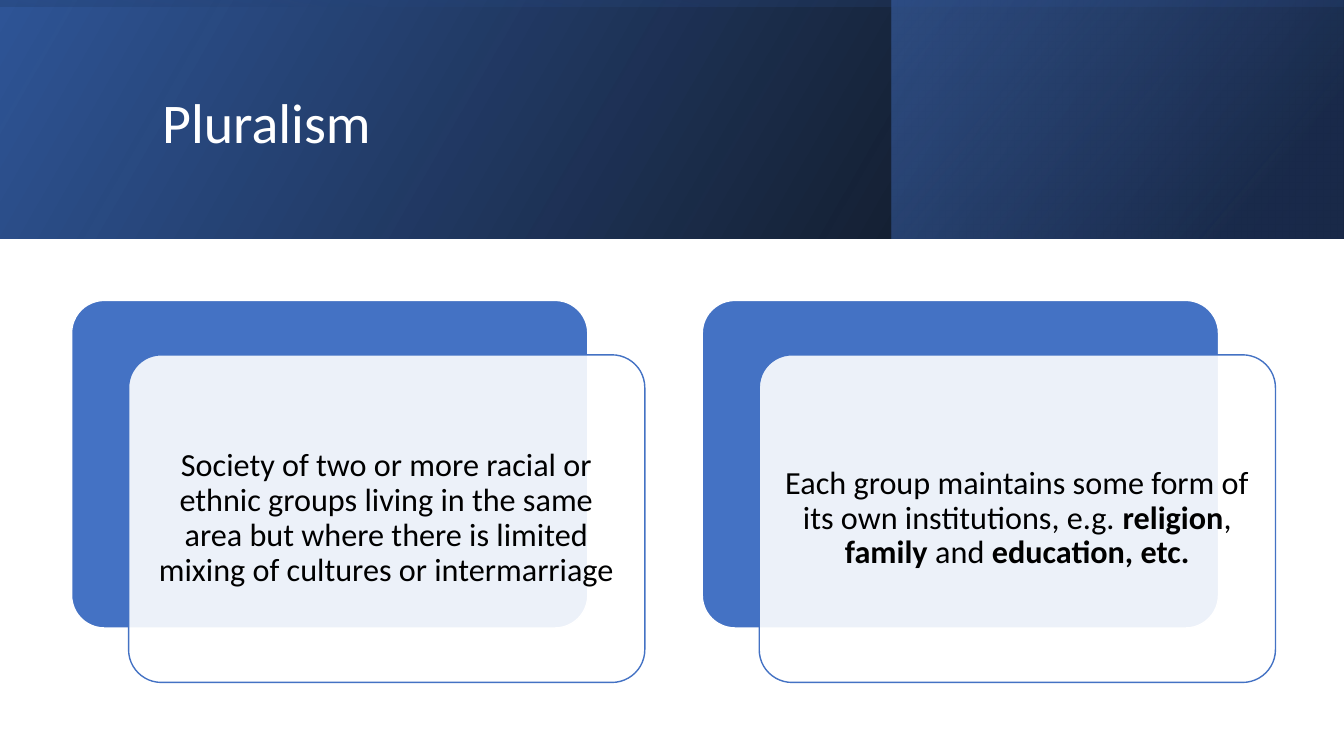
import lxml.etree
import pptx
import pptx.dml.color
import pptx.enum.shapes
import pptx.enum.text
import pptx.oxml
import pptx.oxml.ns
import pptx.util

Inches = pptx.util.Inches
RGBColor = pptx.dml.color.RGBColor
SHAPES = pptx.enum.shapes.MSO_SHAPE
ALIGN = pptx.enum.text.PP_ALIGN

BLACK = RGBColor(0x00, 0x00, 0x00)
WHITE = RGBColor(0xFF, 0xFF, 0xFF)
BLUE = RGBColor(0x44, 0x72, 0xC4)
DEEP_BLUE = RGBColor(0x2F, 0x55, 0x97)
NAVY = RGBColor(0x20, 0x38, 0x64)

# left, top, width, height, rotation, gradient angle, stops (position %, colour, opacity %)
BANNER_LAYERS = [
    (0, 0, 13.33, 2.37, 0, 330, [(0, BLACK, 96), (100, DEEP_BLUE, 100)]),
    (8.84, 0, 4.48, 2.37, 0, 320, [(19, NAVY, 68), (100, BLUE, 48)]),
    (5.48, -5.48, 2.37, 13.33, 270, 350, [(23, DEEP_BLUE, 16), (99, BLACK, 45)]),
]

# Each card is a list of (text, bold) spans
CARDS = [
    [("Society of two or more racial or ethnic groups living in the same area "
      "but where there is limited mixing of cultures or intermarriage", False)],
    [("Each group maintains some form of its own institutions, e.g. ", False),
     ("religion", True), (", ", False), ("family", True),
     (" and ", False), ("education, etc.", True)],
]
CARD_LEFT, CARD_STEP = 0.71, 6.255
CARD_WIDTH, CARD_HEIGHT = 5.12, 3.25


def write_text(frame, spans, size, color, align, inset=0.1):
    frame.word_wrap = True
    frame.vertical_anchor = pptx.enum.text.MSO_ANCHOR.MIDDLE
    frame.margin_left = frame.margin_right = Inches(inset)
    para = frame.paragraphs[0]
    para.alignment = align
    para.line_spacing = 0.9
    for text, bold in spans:
        span = para.add_run()
        span.text = text
        span.font.name = "Calibri"
        span.font.size = pptx.util.Pt(size)
        span.font.bold = bold
        span.font.color.rgb = color


def add_block(page, kind, left, top, width, height):
    """Add a preset shape without a shadow."""
    block = page.shapes.add_shape(
        kind, Inches(left), Inches(top), Inches(width), Inches(height))
    block.shadow.inherit = False
    return block


deck = pptx.Presentation()
deck.slide_width = Inches(13.33)
deck.slide_height = Inches(7.5)
page = deck.slides.add_slide(deck.slide_layouts[6])

for left, top, width, height, rotation, angle, stops in BANNER_LAYERS:
    layer = add_block(page, SHAPES.RECTANGLE, left, top, width, height)
    layer.rotation = rotation
    layer.line.fill.background()
    properties = layer.element.spPr
    properties.xfrm.set("flipH", "1")
    stop_xml = "".join(
        f'<a:gs pos="{position * 1000}"><a:srgbClr val="{color}">'
        f'<a:alpha val="{opacity * 1000}"/></a:srgbClr></a:gs>'
        for position, color, opacity in stops)
    gradient = pptx.oxml.parse_xml(
        f'<a:gradFill {pptx.oxml.ns.nsdecls("a")} rotWithShape="1">'
        f'<a:gsLst>{stop_xml}</a:gsLst>'
        f'<a:lin ang="{angle * 60000}" scaled="0"/></a:gradFill>')
    properties.find(pptx.oxml.ns.qn("a:prstGeom")).addnext(gradient)

title = page.shapes.add_textbox(Inches(1.51), Inches(0.38), Inches(10.63), Inches(1.72))
write_text(title.text_frame, [("Pluralism", False)], 40, WHITE, ALIGN.LEFT)

for index, spans in enumerate(CARDS):
    left = CARD_LEFT + index * CARD_STEP
    back = add_block(page, SHAPES.ROUNDED_RECTANGLE, left, 2.98, CARD_WIDTH, CARD_HEIGHT)
    front = add_block(
        page, SHAPES.ROUNDED_RECTANGLE, left + 0.565, 3.52, CARD_WIDTH, CARD_HEIGHT)
    for card, fill, line in [(back, BLUE, WHITE), (front, WHITE, BLUE)]:
        card.adjustments[0] = 0.1
        card.fill.solid()
        card.fill.fore_color.rgb = fill
        card.line.color.rgb = line
        card.line.width = pptx.util.Pt(1)
    front_color = front.element.spPr.find(
        pptx.oxml.ns.qn("a:solidFill")).find(pptx.oxml.ns.qn("a:srgbClr"))
    lxml.etree.SubElement(front_color, pptx.oxml.ns.qn("a:alpha"), val="90000")
    write_text(front.text_frame, spans, 23, BLACK, ALIGN.CENTER)

deck.save("out.pptx")
